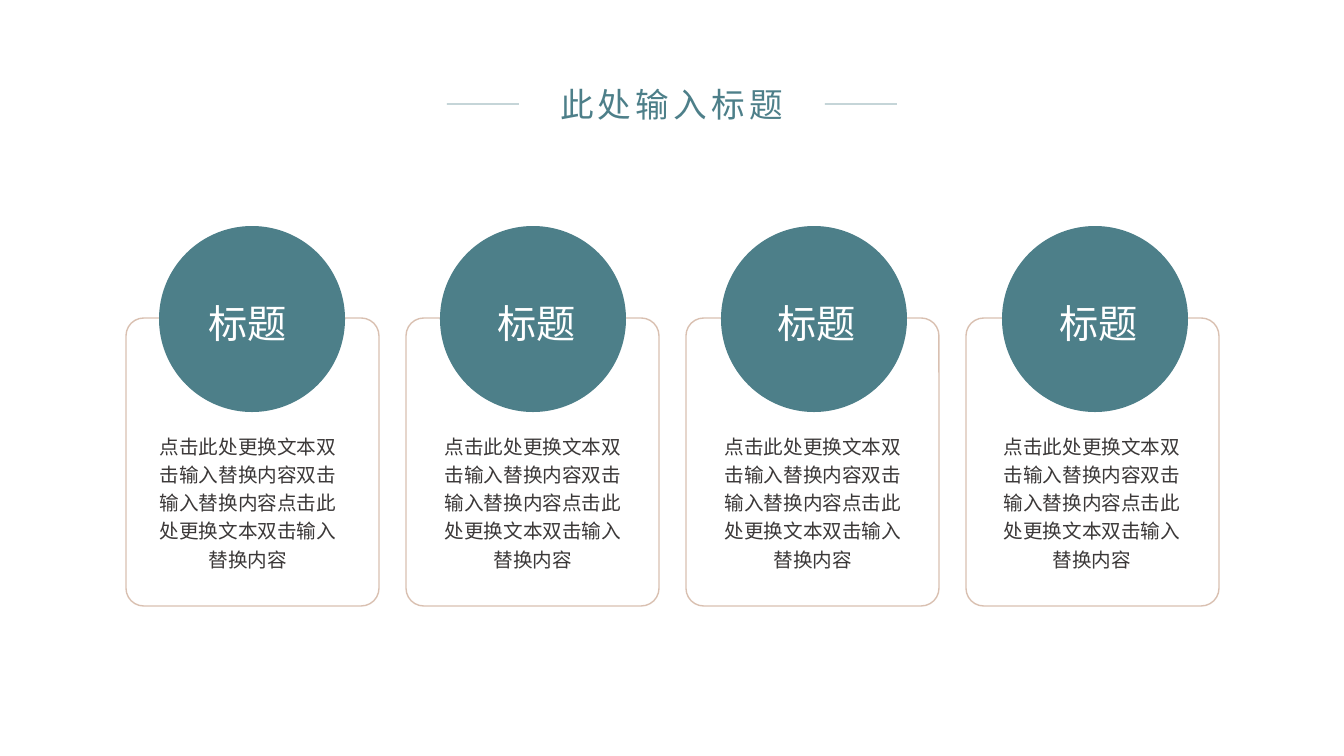
"""Build a slide with four titled cards under a centred heading."""
from dataclasses import dataclass

from lxml import etree
from pptx import Presentation
from pptx.dml.color import RGBColor
from pptx.enum.shapes import MSO_CONNECTOR, MSO_SHAPE
from pptx.enum.text import MSO_ANCHOR, PP_ALIGN
from pptx.oxml.ns import qn
from pptx.util import Emu, Pt

ROUND, OVAL = MSO_SHAPE.ROUNDED_RECTANGLE, MSO_SHAPE.OVAL
STRAIGHT = MSO_CONNECTOR.STRAIGHT
MIDDLE, CENTER = MSO_ANCHOR.MIDDLE, PP_ALIGN.CENTER

HEADING = "此处输入标题"
LABEL = "标题"
BODY = "点击此处更换文本双击输入替换内容双击输入替换内容点击此处更换文本双击输入替换内容"
CARDS = [
    {"label": LABEL, "body": BODY, "shift": (-4, -4)},
    {"label": LABEL, "body": BODY, "shift": (4, 0)},
    {"label": LABEL, "body": BODY, "shift": (3, -1)},
    {"label": LABEL, "body": BODY, "shift": (4, -3)},
]
RULES = [(447, 519), (825, 897)]


@dataclass(frozen=True)
class Theme:
    """Hold the colours, font and type sizes."""
    teal: str = "4D7F89"
    brown: str = "A2633C"
    white: str = "FFFFFF"
    ink: str = "3B3838"
    font: str = "Noto Sans CJK SC"
    head: int = 24
    label: int = 28
    body: int = 14


THEME = Theme()
SCALE = 914400 / 100.8
WIDE, HIGH = 1344, 756
CARD_X, CARD_Y, CARD_W, CARD_H, CARD_STEP = 126, 318, 253, 288, 280
DISC_X, DISC_Y, DISC, DISC_STEP = 159, 226, 186, 281
LABEL_Y, LABEL_W, LABEL_H = 297, 134, 43
BODY_Y, BODY_W, BODY_H = 438, 187, 125
HEAD_X, HEAD_Y, HEAD_W, HEAD_H = 533, 84, 277, 40
RULE_Y = 104


def px(*vals):
    """Turn px lengths into EMU."""
    return [Emu(round(val * SCALE)) for val in vals]


def stroke(line, tint, alpha):
    """Set a one-point line with an opacity in percent."""
    line.width = Pt(1)
    line.color.rgb = RGBColor.from_string(tint)
    tone = line.fill._xPr.find(".//" + qn("a:srgbClr"))
    etree.SubElement(tone, qn("a:alpha")).set("val", str(alpha * 1000))


def write(slide, box, text, size, tint, lead=1.0, gap=0, track=0):
    """Add a centred text box."""
    frame = slide.shapes.add_textbox(*px(*box)).text_frame
    frame.word_wrap = True
    frame.vertical_anchor = MIDDLE
    frame.margin_left = frame.margin_right = 0
    frame.margin_top = frame.margin_bottom = 0
    para = frame.paragraphs[0]
    para.alignment = CENTER
    para.line_spacing = lead
    para.space_before = Pt(gap)
    run = para.add_run()
    run.text = text
    run.font.size = Pt(size)
    run.font.name = THEME.font
    run.font.color.rgb = RGBColor.from_string(tint)
    props = run.font._element
    etree.SubElement(props, qn("a:ea")).set("typeface", THEME.font)
    if track:
        props.set("spc", str(track * 100))


def frame_card(slide, num):
    """Draw the outline of one card."""
    box = CARD_X + num * CARD_STEP, CARD_Y, CARD_W, CARD_H
    card = slide.shapes.add_shape(ROUND, *px(*box))
    card.adjustments[0] = 0.07
    card.shadow.inherit = False
    card.fill.background()
    stroke(card.line, THEME.brown, 40)


def fill_card(slide, num, item):
    """Draw the disc, label and body of one card."""
    left = DISC_X + num * DISC_STEP
    disc = slide.shapes.add_shape(OVAL, *px(left, DISC_Y, DISC, DISC))
    disc.shadow.inherit = False
    disc.fill.solid()
    disc.fill.fore_color.rgb = RGBColor.from_string(THEME.teal)
    disc.line.fill.background()
    mid = left + DISC / 2
    label, body = (mid + move for move in item["shift"])
    write(slide, (label - LABEL_W / 2, LABEL_Y, LABEL_W, LABEL_H),
          item["label"], THEME.label, THEME.white, 1.2, 9.5)
    write(slide, (body - BODY_W / 2, BODY_Y, BODY_W, BODY_H),
          item["body"], THEME.body, THEME.ink, 1.2, 4)


def main():
    """Build and save the slide."""
    deck = Presentation()
    deck.slide_width, deck.slide_height = px(WIDE, HIGH)
    slide = deck.slides.add_slide(deck.slide_layouts[6])
    for num in range(len(CARDS)):
        frame_card(slide, num)
    for num, item in enumerate(CARDS):
        fill_card(slide, num, item)
    for start, end in RULES:
        rule = slide.shapes.add_connector(
            STRAIGHT, *px(start, RULE_Y, end, RULE_Y))
        stroke(rule.line, THEME.teal, 50)
        etree.SubElement(rule._element.spPr, qn("a:effectLst"))
    write(slide, (HEAD_X, HEAD_Y, HEAD_W, HEAD_H),
          HEADING, THEME.head, THEME.teal, track=3)
    deck.save("out.pptx")


if __name__ == "__main__":
    main()
